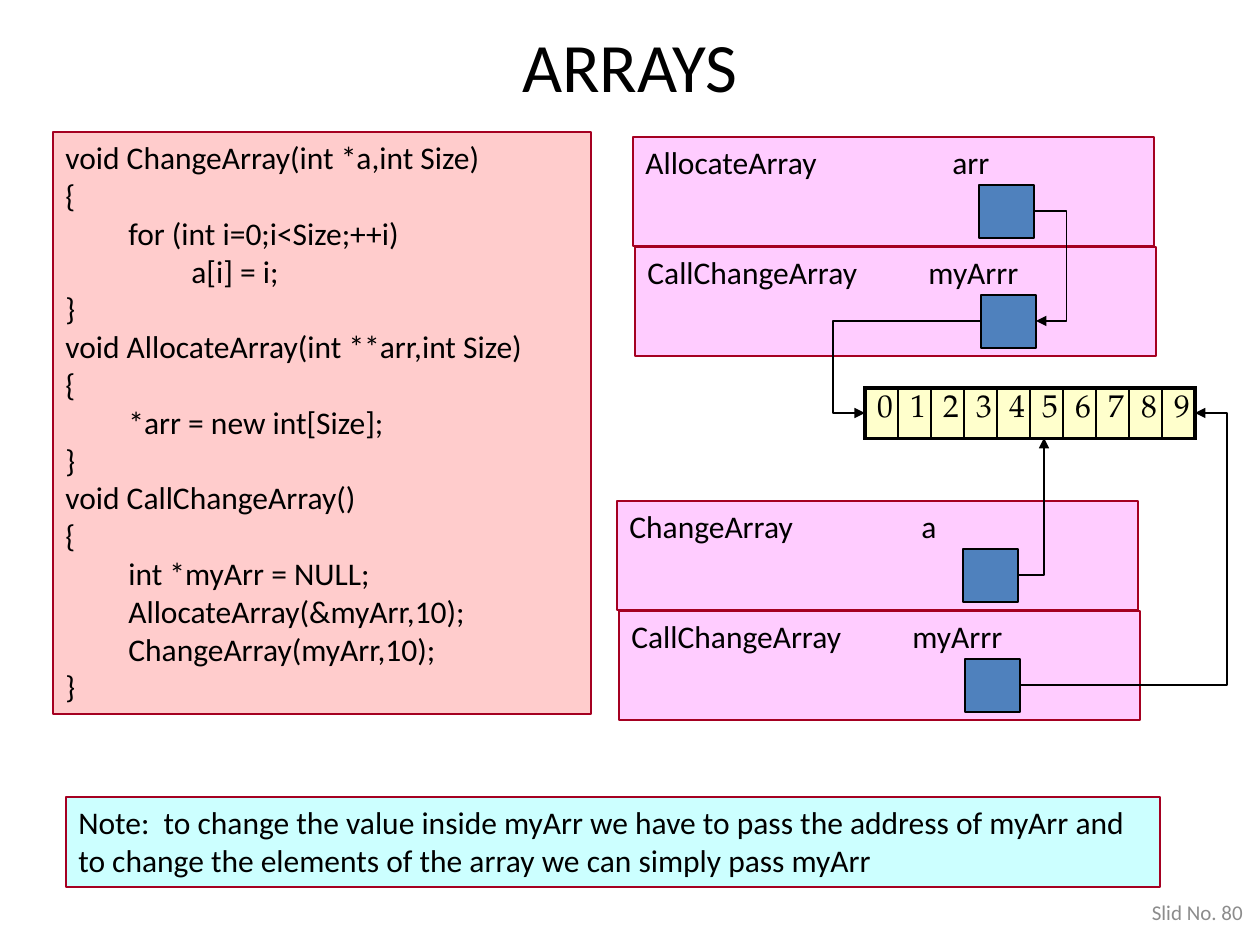
import pptx
import pptx.util
from lxml import etree
from pptx.dml.color import RGBColor
from pptx.enum.shapes import MSO_CONNECTOR, MSO_SHAPE
from pptx.enum.text import MSO_ANCHOR, PP_ALIGN
from pptx.oxml.ns import qn

COLORS = {"code": "FFCCCC", "frame": "FFCCFF", "note": "CCFFFF", "cell": "FFFFCC",
          "pointer": "4F81BD", "edge": "A50021", "ink": "000000", "muted": "8C8C8C"}
CODE = """void ChangeArray(int *a,int Size)
{
\tfor (int i=0;i<Size;++i)
\t\ta[i] = i;
}
void AllocateArray(int **arr,int Size)
{
\t*arr = new int[Size];
}
void CallChangeArray()
{
\tint *myArr = NULL;
\tAllocateArray(&myArr,10);
\tChangeArray(myArr,10);
}""".split("\n")
NOTE = ("Note:  to change the value inside myArr we have to pass the address of myArr "
        "and to change the elements of the array we can simply pass myArr")
# function, variable, left, top, tab position of the variable
STACK_FRAMES = [
    ("CallChangeArray", "myArrr", 635, 247, 281),
    ("AllocateArray", "arr", 633, 137, 307),
    ("CallChangeArray", "myArrr", 619, 611, 281),
    ("ChangeArray", "a", 617, 501, 292),
]
FRAME_SIZE = (521, 109)
POINTER_OFFSET, POINTER_SIZE = (346, 48), (55, 53)
VALUES = range(10)
ARRAY_LEFT, ARRAY_TOP, CELL_WIDTH, CELL_HEIGHT = 865, 388, 33, 50
# start, end, x of the vertical part (None: a single corner)
ARROWS = [
    ((1034, 211), (1036, 321), 1067),
    ((981, 321), (865, 413), 833),
    ((1018, 575), (1044, 438), None),
    ((1020, 685), (1195, 413), 1227),
]


def px(value):
    return round(value * 914400 / 126)


def rgb(name):
    return RGBColor.from_string(COLORS[name])


def write(frame, lines, size=18, font="Calibri", color="ink", **para_format):
    frame.text = "\n".join(lines)
    for para in frame.paragraphs:
        for name, value in para_format.items():
            setattr(para, name, value)
        for span in para.runs:
            for name, value in {"size": pptx.util.Pt(size), "name": font}.items():
                setattr(span.font, name, value)
            span.font.color.rgb = rgb(color)


def add_box(slide, fill, edge, *place):
    box = slide.shapes.add_shape(MSO_SHAPE.RECTANGLE, *map(px, place))
    box.shadow.inherit = False
    box.fill.solid()
    box.fill.fore_color.rgb = rgb(fill)
    box.line.color.rgb = rgb(edge)
    box.line.width = pptx.util.Pt(0.75)
    return box


def add_text_box(slide, fill, lines, *place, wrap=True, **para_format):
    box = add_box(slide, fill, "edge", *place)
    box.text_frame.word_wrap = wrap
    box.text_frame.vertical_anchor = MSO_ANCHOR.TOP
    write(box.text_frame, lines, alignment=PP_ALIGN.LEFT, **para_format)
    return box


def add_stack_frame(slide, function, variable, left, top, tab):
    box = add_text_box(slide, "frame", [f"{function}\t{variable}"], left, top, *FRAME_SIZE)
    properties = box.text_frame.paragraphs[0]._p.get_or_add_pPr()
    stops = etree.SubElement(properties, qn("a:tabLst"))
    etree.SubElement(stops, qn("a:tab"), pos=str(px(tab)), algn="l")
    add_box(slide, "pointer", "ink", left + POINTER_OFFSET[0], top + POINTER_OFFSET[1],
            *POINTER_SIZE)


def add_arrow(slide, start, end, bend):
    arrow = slide.shapes.add_connector(MSO_CONNECTOR.ELBOW, *map(px, start + end))
    arrow.line.color.rgb = rgb("ink")
    arrow.line.width = pptx.util.Pt(0.75)
    properties = arrow._element.spPr
    etree.SubElement(arrow.line._get_or_add_ln(), qn("a:tailEnd"), type="triangle")
    etree.SubElement(properties, qn("a:effectLst"))
    geometry = properties.find(qn("a:prstGeom"))
    if bend is None:
        geometry.set("prst", "bentConnector2")
        return
    ratio = round(100000 * (bend - start[0]) / (end[0] - start[0]))
    etree.SubElement(geometry.find(qn("a:avLst")), qn("a:gd"),
                     name="adj1", fmla=f"val {ratio}")


def set_borders(cell, widths):
    properties = cell._tc.get_or_add_tcPr()
    for index, (side, width) in enumerate(widths.items()):
        line = etree.Element(qn(f"a:ln{side}"), w=str(pptx.util.Pt(width)))
        fill = etree.SubElement(line, qn("a:solidFill"))
        etree.SubElement(fill, qn("a:srgbClr"), val=COLORS["ink"])
        properties.insert(index, line)


def add_array(slide):
    count = len(VALUES)
    table = slide.shapes.add_table(1, count, *map(px, (
        ARRAY_LEFT, ARRAY_TOP, count * CELL_WIDTH, CELL_HEIGHT))).table
    table.rows[0].height = px(CELL_HEIGHT)
    for index, value in enumerate(VALUES):
        table.columns[index].width = px(CELL_WIDTH)
        cell = table.cell(0, index)
        cell.fill.solid()
        cell.fill.fore_color.rgb = rgb("cell")
        write(cell.text_frame, [str(value)], font="TeX Gyre Pagella",
              alignment=PP_ALIGN.CENTER)
        cell.text_frame.paragraphs[0].font.bold = False
        set_borders(cell, {"L": 2.25 if index == 0 else 1,
                           "R": 2.25 if index == count - 1 else 1,
                           "T": 2.25, "B": 2.25})


def main():
    deck = pptx.Presentation()
    deck.slide_width, deck.slide_height = px(1260), px(945)
    slide = deck.slides.add_slide(deck.slide_layouts[5])

    title = slide.shapes.title
    for name, value in {"left": 63, "top": 21, "width": 1134, "height": 88}.items():
        setattr(title, name, px(value))
    title.text_frame.vertical_anchor = MSO_ANCHOR.MIDDLE
    write(title.text_frame, ["ARRAYS"], size=39.6, alignment=PP_ALIGN.CENTER)

    number = slide.shapes.add_textbox(*map(px, (945, 879, 315, 66)))
    number.text_frame.word_wrap = True
    number.text_frame.vertical_anchor = MSO_ANCHOR.MIDDLE
    write(number.text_frame, ["Slid No. 80 "], size=12, color="muted",
          alignment=PP_ALIGN.RIGHT)

    add_text_box(slide, "code", CODE, 53, 132, 538, 582, wrap=False)
    for stack_frame in STACK_FRAMES:
        add_stack_frame(slide, *stack_frame)
    add_array(slide)
    for arrow in ARROWS:
        add_arrow(slide, *arrow)
    add_text_box(slide, "note", [NOTE], 66, 797, 1094, 90)
    deck.save("out.pptx")


if __name__ == "__main__":
    main()
